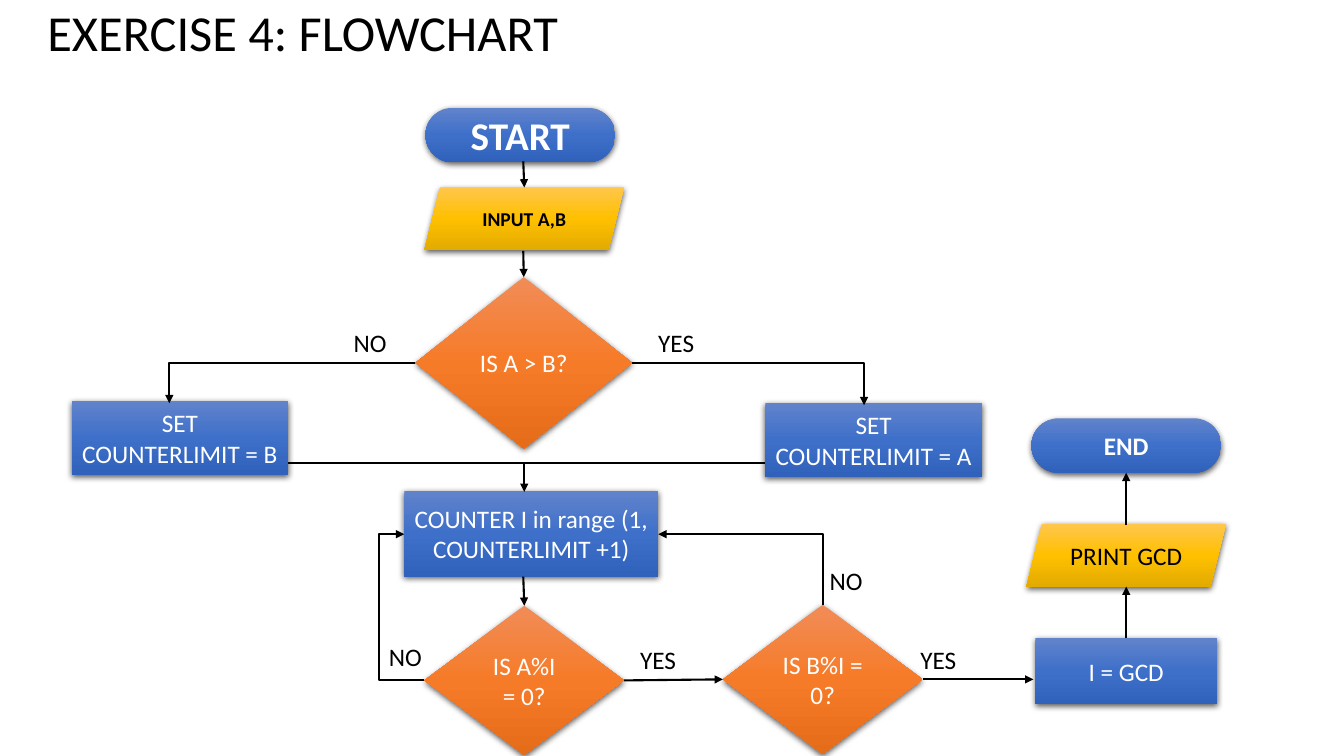
import lxml.etree
import pptx
import pptx.dml.color
import pptx.enum.shapes
import pptx.enum.text
import pptx.oxml
import pptx.oxml.ns
import pptx.util

Inches = pptx.util.Inches
Shapes = pptx.enum.shapes.MSO_SHAPE
Connectors = pptx.enum.shapes.MSO_CONNECTOR
Align = pptx.enum.text.PP_ALIGN
Anchor = pptx.enum.text.MSO_ANCHOR
AutoSize = pptx.enum.text.MSO_AUTO_SIZE
qn = pptx.oxml.ns.qn

BLACK, WHITE = "000000", "FFFFFF"
BLUE = ("6183CB", "3E70CA", "3062BB")
GOLD = ("FFC64B", "FFC000", "E3AB00")
ORANGE = ("F18C57", "F67B28", "E56C19")


def add_color(parent, hex_color):
    return lxml.etree.SubElement(parent, qn("a:srgbClr"), val=hex_color)


def write(frame, text, size, hex_color, bold=False, align=Align.CENTER):
    frame.vertical_anchor = Anchor.MIDDLE
    paragraph = frame.paragraphs[0]
    paragraph.alignment = align
    run = paragraph.add_run()
    run.text = text
    run.font.name = "Calibri"
    run.font.size = pptx.util.Pt(size)
    run.font.bold = bold
    run.font.color.rgb = pptx.dml.color.RGBColor.from_string(hex_color)
    return paragraph


deck = pptx.Presentation()
deck.slide_width, deck.slide_height = Inches(13.33), Inches(7.5)
slide = deck.slides.add_slide(deck.slide_layouts[5])

title = slide.shapes.title
title.left, title.top = Inches(0.37), Inches(-0.38)
title.width, title.height = Inches(11.5), Inches(1.45)
title.text_frame.auto_size = AutoSize.NONE
heading = write(title.text_frame, "EXERCISE 4: FLOWCHART", 36, BLACK, align=Align.LEFT)
heading.line_spacing = 0.9

# Look of each kind of step: outline, gradient, text colour, width, height
terminal = (Shapes.ROUNDED_RECTANGLE, BLUE, WHITE, 1.88, 0.54)
data = (Shapes.PARALLELOGRAM, GOLD, BLACK, 1.98, 0.62)
decision = (Shapes.DIAMOND, ORANGE, WHITE, 1.98, 1.48)
first_decision = (Shapes.DIAMOND, ORANGE, WHITE, 2.15, 1.7)
setting = (Shapes.RECTANGLE, BLUE, WHITE, 2.15, 0.73)
counter = (Shapes.RECTANGLE, BLUE, WHITE, 2.52, 0.85)
result = (Shapes.RECTANGLE, BLUE, WHITE, 1.8, 0.66)

steps = {}
for name, look, left, top, text, size, bold in [
    ("start", terminal, 4.22, 1.07, "START", 28, True),
    ("input", data, 4.21, 1.86, "INPUT A,B", 14, True),
    ("compare", first_decision, 4.12, 2.75, "IS A > B?", 18, False),
    ("limit_b", setting, 0.71, 3.98, "SET COUNTERLIMIT = B", 18, False),
    ("limit_a", setting, 7.59, 4.0, "SET COUNTERLIMIT = A", 18, False),
    ("counter", counter, 4.01, 4.87, "COUNTER I in range (1, COUNTERLIMIT +1)", 18, False),
    ("divides_a", decision, 4.21, 6.01, "IS A%I = 0?", 18, False),
    ("divides_b", decision, 7.17, 6.0, "IS B%I = 0?", 18, False),
    ("result", result, 10.27, 6.33, "I = GCD", 18, False),
    ("print", data, 10.18, 5.2, "PRINT GCD", 18, False),
    ("end", terminal, 10.23, 4.15, "END", 18, True),
]:
    outline, gradient, text_color, width, height = look
    step = slide.shapes.add_shape(
        outline, Inches(left), Inches(top), Inches(width), Inches(height))
    if look is terminal:
        step.adjustments[0] = 0.5
    step.line.fill.background()
    step.fill.gradient()
    step.fill.gradient_angle = 270
    stops = step.fill._fill._gradFill.find(qn("a:gsLst"))
    for stop in list(stops):
        stops.remove(stop)
    for position, hex_color in zip(("0", "50000", "100000"), gradient):
        add_color(lxml.etree.SubElement(stops, qn("a:gs"), pos=position), hex_color)
    step.shadow.inherit = False
    shadow = lxml.etree.SubElement(
        step._element.spPr.find(qn("a:effectLst")), qn("a:outerShdw"),
        blurRad="57150", dist="19050", dir="5400000", algn="ctr", rotWithShape="0")
    lxml.etree.SubElement(add_color(shadow, BLACK), qn("a:alpha"), val="63000")
    write(step.text_frame, text, size, text_color, bold)
    steps[name] = step

for answer, left, top in [
    ("NO", 3.41, 3.2), ("YES", 6.43, 3.2),
    ("NO", 3.76, 6.31), ("YES", 6.25, 6.34),
    ("NO", 8.13, 5.56), ("YES", 9.03, 6.34),
]:
    width = 0.56 if answer == "YES" else 0.53
    label = slide.shapes.add_textbox(
        Inches(left), Inches(top), Inches(width), Inches(0.4))
    label.text_frame.word_wrap = False
    label.text_frame.auto_size = AutoSize.SHAPE_TO_FIT_TEXT
    write(label.text_frame, answer, 18, BLACK, align=Align.LEFT)

# Route, start, finish, arrow end, joined start and finish (step, side)
for route, start, finish, arrow, origin, target in [
    ("line", (5.19, 1.6), (5.2, 1.86), "tailEnd", None, None),
    ("line", (5.19, 2.49), (5.2, 2.75), "tailEnd", None, ("compare", 0)),
    ("bentConnector2", (4.12, 3.6), (1.68, 4.0), "tailEnd", None, None),
    ("bentConnector2", (6.27, 3.6), (8.57, 4.02), "tailEnd", None, None),
    ("line", (2.86, 4.59), (7.59, 4.59), None, None, None),
    ("line", (5.2, 4.59), (5.2, 4.88), "tailEnd", None, None),
    ("line", (5.19, 5.72), (5.2, 6.01), "tailEnd", None, ("divides_a", 0)),
    ("bentConnector3", (4.21, 6.75), (4.01, 5.3), "tailEnd", None, None),
    ("line", (6.19, 6.74), (7.17, 6.74), "tailEnd", ("divides_a", 3), ("divides_b", 1)),
    ("bentConnector2", (6.53, 5.3), (8.16, 6.0), "headEnd", None, None),
    ("line", (9.15, 6.74), (10.25, 6.74), "tailEnd", ("divides_b", 3), None),
    ("line", (11.17, 6.33), (11.17, 5.82), "tailEnd", ("result", 0), None),
    ("line", (11.17, 5.21), (11.17, 4.7), "tailEnd", None, ("end", 2)),
]:
    kind = Connectors.STRAIGHT if route == "line" else Connectors.ELBOW
    flow = slide.shapes.add_connector(kind, *map(Inches, start + finish))
    if origin:
        flow.begin_connect(steps[origin[0]], origin[1])
    if target:
        flow.end_connect(steps[target[0]], target[1])
    flow.line.width = pptx.util.Pt(1.5)
    flow.line.color.rgb = pptx.dml.color.RGBColor.from_string(BLACK)
    properties = flow._element.spPr
    geometry = properties.find(qn("a:prstGeom"))
    geometry.set("prst", route)
    if route == "bentConnector3":
        lxml.etree.SubElement(
            geometry.find(qn("a:avLst")), qn("a:gd"), name="adj1", fmla="val 225000")
    if arrow:
        lxml.etree.SubElement(
            properties.find(qn("a:ln")), qn("a:" + arrow), type="triangle")
    lxml.etree.SubElement(properties, qn("a:effectLst"))

deck.save("out.pptx")
